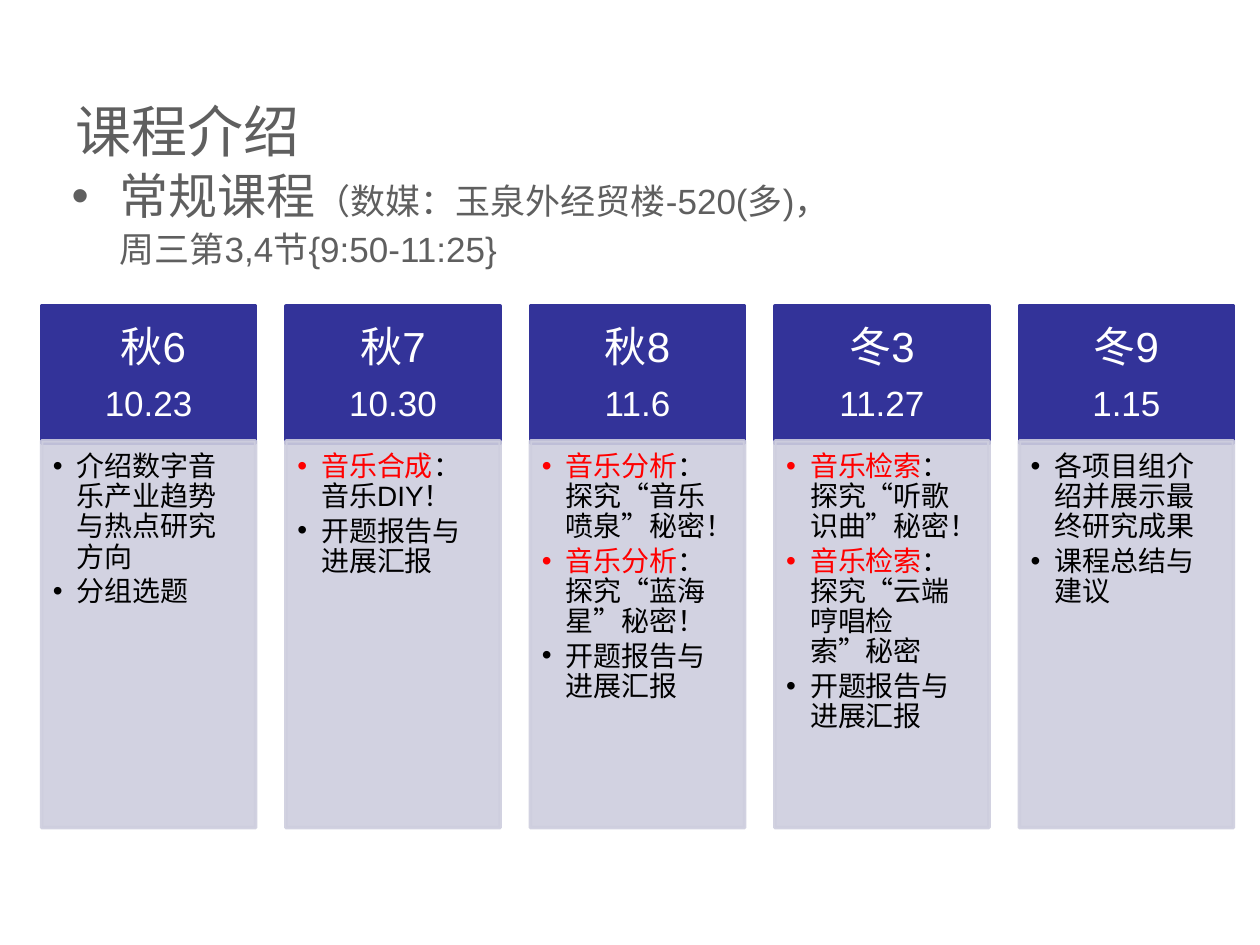
from dataclasses import dataclass

from lxml.etree import SubElement
from pptx import Presentation
from pptx.dml.color import RGBColor
from pptx.enum.shapes import MSO_SHAPE
from pptx.enum.text import MSO_ANCHOR, PP_ALIGN
from pptx.oxml.ns import qn
from pptx.util import Inches, Pt


@dataclass(frozen=True)
class Theme:
    gray: str = "5F5F5F"
    navy: str = "333399"
    lavender: str = "CECEDE"
    white: str = "FFFFFF"
    black: str = "000000"
    red: str = "FF0000"
    latin: str = "Arial"
    chinese: str = "Noto Sans CJK SC"
    title: int = 32
    lead: int = 28
    week: int = 24
    detail: int = 20
    topic: int = 16
    opacity: int = 90


THEME = Theme()

TITLE = "课程介绍"
COURSE = "常规课程"
PLACE = "（数媒：玉泉外经贸楼-520(多)，"
TIME = "周三第3,4节{9:50-11:25}"

# Each session: week, date, topics as (highlight, rest)
REPORT = ("", "开题报告与进展汇报")
SESSIONS = [
    (" 秋6", "10.23", [("", "介绍数字音乐产业趋势与热点研究方向"), ("", "分组选题")]),
    ("秋7", "10.30", [("音乐合成", "：音乐DIY！"), REPORT]),
    ("秋8", "11.6", [("音乐分析", "：探究“音乐喷泉”秘密！"),
                    ("音乐分析", "：探究“蓝海星”秘密！"), REPORT]),
    ("冬3", "11.27", [("音乐检索", "：探究“听歌识曲”秘密！"),
                     ("音乐检索", "：探究“云端哼唱检索”秘密"), REPORT]),
    ("冬9", "1.15", [("", "各项目组介绍并展示最终研究成果"), ("", "课程总结与建议")]),
]

GRID_LEFT, GRID_TOP = 0.33, 2.43
COLUMN, PITCH = 1.7, 1.94
HEADER_HEIGHT, TOPICS_TOP, TOPICS_HEIGHT = 1.09, 3.5, 3.07


def set_margins(frame, *margins):
    for side, margin in zip(("left", "top", "right", "bottom"), margins):
        setattr(frame, f"margin_{side}", Inches(margin))


def add_run(paragraph, text, size, color, face=THEME.latin):
    run = paragraph.add_run()
    run.text = text
    for name, value in {"size": Pt(size), "name": face, "bold": False}.items():
        setattr(run.font, name, value)
    run.font.color.rgb = RGBColor.from_string(color)


def add_paragraph(frame, is_first, **formats):
    paragraph = frame.paragraphs[0] if is_first else frame.add_paragraph()
    for name, value in formats.items():
        setattr(paragraph, name, value)
    return paragraph


def hang(paragraph, indent, bullet=True):
    """Indent a paragraph, with its bullet hanging in the indent."""
    properties = paragraph._p.get_or_add_pPr()
    properties.set("marL", str(Inches(indent)))
    properties.set("indent", str(-Inches(indent) if bullet else 0))
    if bullet:
        SubElement(properties, qn("a:buFont"), typeface=THEME.latin)
        SubElement(properties, qn("a:buChar"), char="•")
    else:
        SubElement(properties, qn("a:buNone"))


def add_panel(slide, left, top, height, color, anchor, margins, opacity=100):
    panel = slide.shapes.add_shape(MSO_SHAPE.RECTANGLE, Inches(left), Inches(top),
                                   Inches(COLUMN), Inches(height))
    panel.shadow.inherit = False
    panel.fill.solid()
    panel.line.fill.solid()
    panel.line.width = Pt(2)
    for paint in (panel.fill, panel.line.fill):
        paint.fore_color.rgb = RGBColor.from_string(color)
    if opacity < 100:
        for rgb in panel._element.spPr.iter(qn("a:srgbClr")):
            SubElement(rgb, qn("a:alpha"), val=str(opacity * 1000))
    frame = panel.text_frame
    frame.word_wrap = True
    frame.vertical_anchor = anchor
    set_margins(frame, *margins)
    return frame


def add_session(slide, left, week, date, topics):
    header = add_panel(slide, left, GRID_TOP, HEADER_HEIGHT, THEME.navy,
                       MSO_ANCHOR.MIDDLE, (0.19, 0.11, 0.19, 0.11))
    for row, (text, size) in enumerate([(week, THEME.week), (date, THEME.detail)]):
        line = add_paragraph(header, row == 0, alignment=PP_ALIGN.CENTER,
                             line_spacing=0.9, space_after=Pt(size * 0.35))
        add_run(line, text, size, THEME.white)

    body = add_panel(slide, left, TOPICS_TOP, TOPICS_HEIGHT, THEME.lavender,
                     MSO_ANCHOR.TOP, (0.09, 0.09, 0.12, 0.14), THEME.opacity)
    for row, (highlight, rest) in enumerate(topics):
        topic = add_paragraph(body, row == 0, alignment=PP_ALIGN.LEFT,
                              line_spacing=0.9, space_after=Pt(THEME.topic * 0.15))
        hang(topic, 0.19)
        if highlight:
            add_run(topic, highlight, THEME.topic, THEME.red, THEME.chinese)
        add_run(topic, rest, THEME.topic, THEME.black)


def add_heading(slide):
    title = slide.shapes.title
    for name, value in {"left": 0.5, "top": 0.52, "width": 9, "height": 1.03}.items():
        setattr(title, name, Inches(value))
    title.text_frame.vertical_anchor = MSO_ANCHOR.MIDDLE
    heading = add_paragraph(title.text_frame, True, alignment=PP_ALIGN.LEFT)
    add_run(heading, TITLE, THEME.title, THEME.gray, THEME.chinese)

    intro = slide.shapes.add_textbox(Inches(0.47), Inches(1.32),
                                     Inches(9.18), Inches(1.05)).text_frame
    intro.word_wrap = True
    course = add_paragraph(intro, True, line_spacing=0.9)
    hang(course, 0.38)
    add_run(course, COURSE, THEME.lead, THEME.gray)
    add_run(course, PLACE, THEME.detail, THEME.gray)
    time = add_paragraph(intro, False, line_spacing=0.9, space_before=Pt(4))
    hang(time, 0.38, bullet=False)
    add_run(time, TIME, THEME.detail, THEME.gray)


def main():
    deck = Presentation()
    deck.slide_width, deck.slide_height = Inches(10), Inches(7.5)
    slide = deck.slides.add_slide(deck.slide_layouts[5])
    add_heading(slide)
    for column, session in enumerate(SESSIONS):
        add_session(slide, GRID_LEFT + column * PITCH, *session)
    deck.save("out.pptx")


if __name__ == "__main__":
    main()
